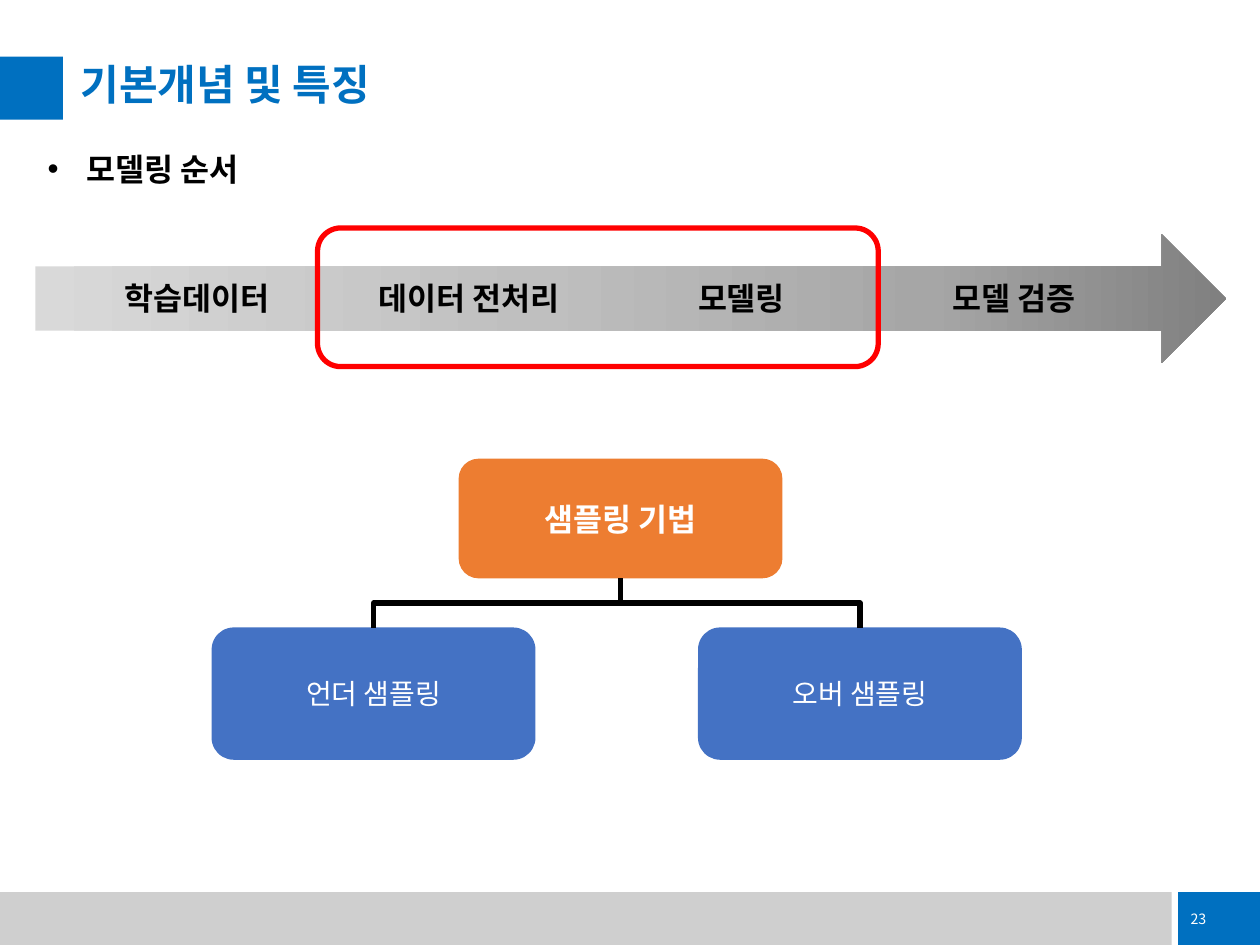
from lxml.etree import SubElement
from pptx import Presentation
from pptx.dml.color import RGBColor
from pptx.enum.shapes import MSO_CONNECTOR as Link, MSO_SHAPE as Shape
from pptx.enum.text import MSO_ANCHOR as Anchor, PP_ALIGN as Align
from pptx.oxml.ns import qn
from pptx.util import Inches, Pt

FONT = "Noto Sans CJK KR"
BLUE = RGBColor(0x00, 0x70, 0xC0)
GRAY = RGBColor(0xCF, 0xCF, 0xCF)
ORANGE = RGBColor(0xED, 0x7D, 0x31)
INDIGO = RGBColor(0x44, 0x72, 0xC4)
RED = RGBColor(0xFF, 0x00, 0x00)
BLACK = RGBColor(0x00, 0x00, 0x00)
WHITE = RGBColor(0xFF, 0xFF, 0xFF)
ARROW_STOPS = [(0, "D9D9D9"), (42, "BFBFBF"), (75, "A6A6A6"), (100, "808080")]

deck = Presentation()
deck.slide_width, deck.slide_height = Inches(10), Inches(7.5)
page = deck.slides.add_slide(deck.slide_layouts[6])


def add_block(kind, left, top, width, height, fill=None):
    """Add a shape without outline or shadow; no fill colour leaves it hollow."""
    block = page.shapes.add_shape(
        kind, Inches(left), Inches(top), Inches(width), Inches(height))
    block.shadow.inherit = False
    block.line.fill.background()
    if fill is None:
        block.fill.background()
    else:
        block.fill.solid()
        block.fill.fore_color.rgb = fill
    return block


def write(box, text, size=18, color=BLACK, bold=True, align=Align.CENTER,
          anchor=Anchor.MIDDLE):
    frame = box.text_frame
    frame.word_wrap = True
    frame.vertical_anchor = anchor
    para = frame.paragraphs[0]
    para.alignment = align
    span = para.add_run()
    span.text = text
    span.font.size, span.font.bold, span.font.name = Pt(size), bold, FONT
    span.font.color.rgb = color
    SubElement(span.font._element, qn("a:ea"), typeface=FONT)
    return para


# Footer and title
add_block(Shape.RECTANGLE, 0, 7.08, 9.3, 0.42, GRAY)
page_number = add_block(Shape.RECTANGLE, 9.35, 7.08, 0.65, 0.42, BLUE)
write(page_number, "23", size=8.1, color=WHITE, bold=False, align=Align.LEFT)
add_block(Shape.RECTANGLE, 0, 0.45, 0.5, 0.5, BLUE)

title = page.shapes.add_textbox(Inches(0.64), Inches(0.51), Inches(9.01), Inches(0.38))
frame = title.text_frame
frame.margin_left = frame.margin_top = frame.margin_right = frame.margin_bottom = 0
para = write(title, "기본개념 및 특징", size=24, color=BLUE, align=Align.LEFT,
             anchor=Anchor.TOP)
para.line_spacing = 0.9

# Process arrow with its steps
arrow = add_block(Shape.RIGHT_ARROW, 0.28, 1.86, 9.45, 1.02)
arrow.fill.gradient()
arrow.fill.gradient_angle = 0
stops = arrow._element.spPr.find(qn("a:gradFill")).find(qn("a:gsLst"))
for old_stop in list(stops):
    stops.remove(old_stop)
for percent, shade in ARROW_STOPS:
    stop = SubElement(stops, qn("a:gs"), pos=str(percent * 1000))
    SubElement(stop, qn("a:srgbClr"), val=shade)

for index, step in enumerate(["학습데이터", "데이터 전처리", "모델링", "모델 검증"]):
    box = page.shapes.add_textbox(
        Inches(0.61 + 2.16 * index), Inches(2.01), Inches(1.91), Inches(0.71))
    write(box, step)

# Bulleted heading
heading = page.shapes.add_textbox(Inches(0.28), Inches(1.14), Inches(4.72), Inches(0.4))
para = write(heading, "모델링 순서", align=Align.LEFT, anchor=Anchor.TOP)
para_format = para._p.get_or_add_pPr()
para_format.set("marL", str(Inches(0.31)))
para_format.set("indent", str(-Inches(0.31)))
SubElement(para_format, qn("a:buFont"), typeface="Arial")
SubElement(para_format, qn("a:buChar"), char="•")

highlight = add_block(Shape.ROUNDED_RECTANGLE, 2.52, 1.81, 4.45, 1.1)
highlight.line.color.rgb = RED
highlight.line.width = Pt(3)

# Sampling tree
parent = add_block(Shape.ROUNDED_RECTANGLE, 3.64, 3.64, 2.57, 0.95, ORANGE)
write(parent, "샘플링 기법", color=WHITE)
start_x, start_y = parent.left + parent.width // 2, parent.top + parent.height

for left, label, turn, flip in [(1.68, "언더 샘플링", 90, False),
                                (5.54, "오버 샘플링", 270, True)]:
    child = add_block(Shape.ROUNDED_RECTANGLE, left, 4.98, 2.57, 1.05, INDIGO)
    write(child, label, size=16, color=WHITE, bold=False)

    # The elbow leaves downwards, so its frame is turned about its centre
    end_x = child.left + child.width // 2
    drop, reach = child.top - start_y, abs(end_x - start_x)
    frame_left = (start_x + end_x - drop) // 2
    frame_top = (start_y + child.top - reach) // 2
    elbow = page.shapes.add_connector(
        Link.ELBOW, frame_left, frame_top, frame_left + drop, frame_top + reach)
    elbow.line.color.rgb = BLACK
    elbow.line.width = Pt(3)
    properties = elbow._element.spPr
    SubElement(properties, qn("a:effectLst"))
    transform = properties.find(qn("a:xfrm"))
    transform.set("rot", str(turn * 60000))
    if flip:
        transform.set("flipH", "1")

deck.save("out.pptx")
